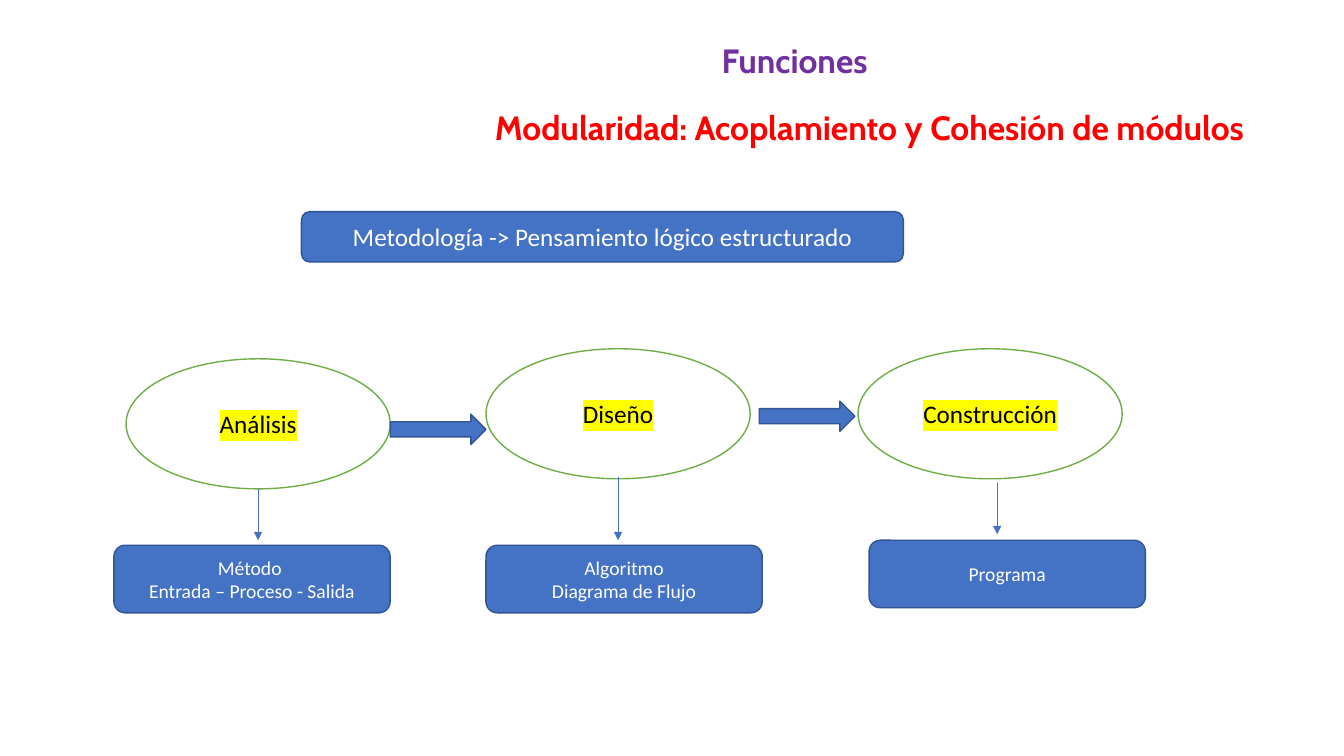
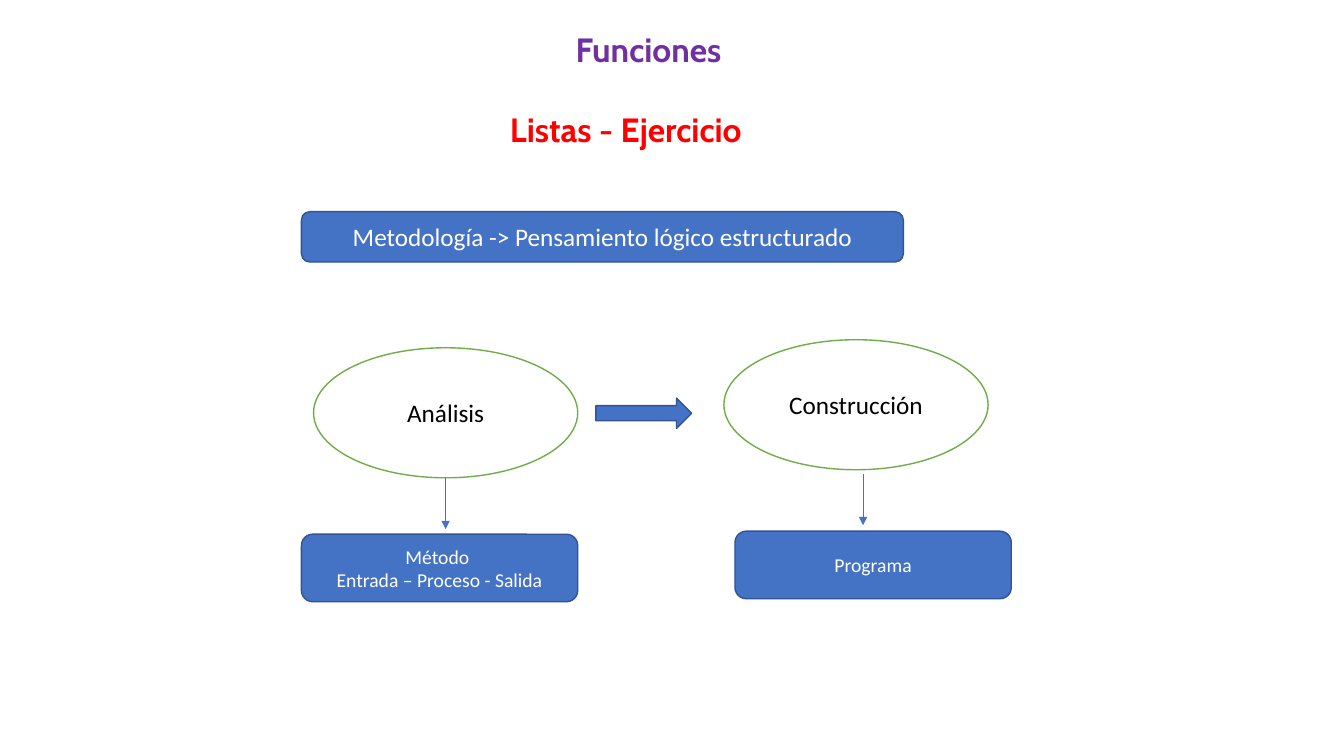
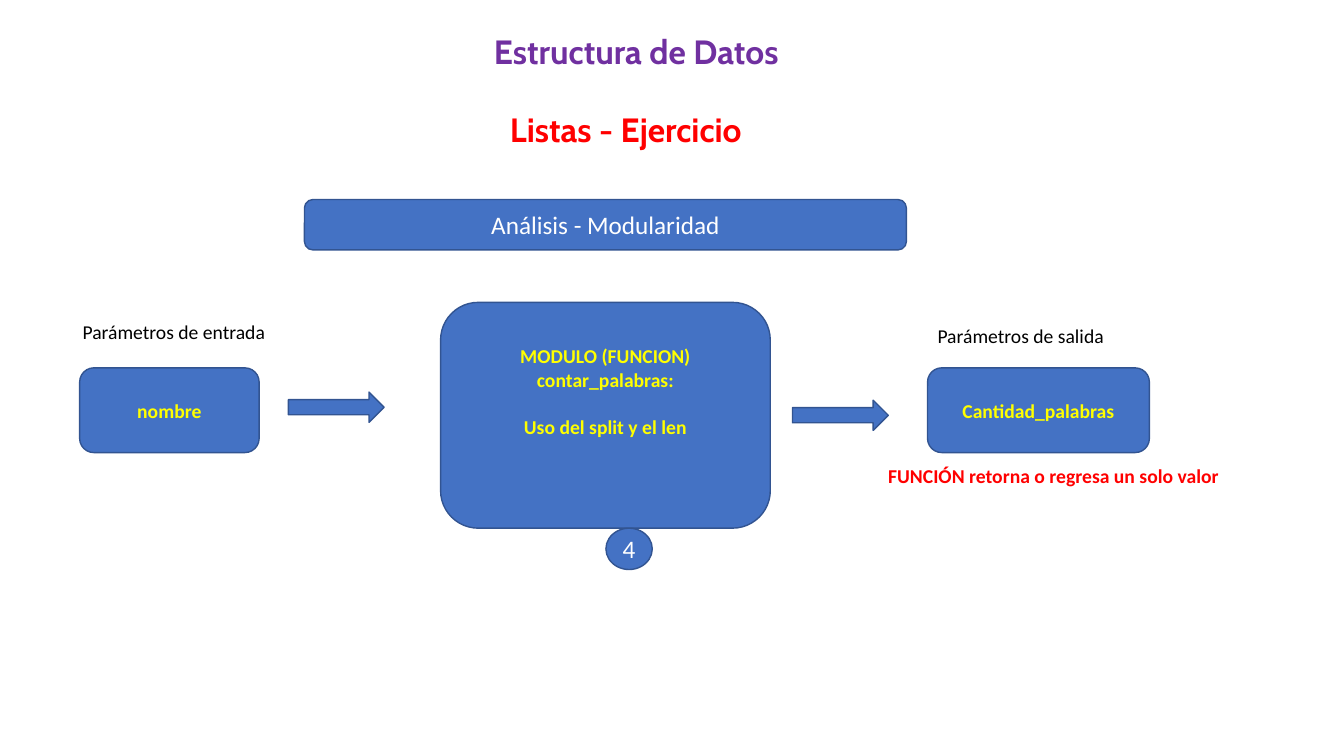
from lxml import etree
from pptx import Presentation
from pptx.dml.color import RGBColor
from pptx.enum.shapes import MSO_CONNECTOR, MSO_SHAPE
from pptx.enum.text import MSO_ANCHOR, PP_ALIGN
from pptx.oxml.ns import qn
from pptx.util import Pt

ELLIPSE = MSO_SHAPE.OVAL
ROUNDED = MSO_SHAPE.ROUNDED_RECTANGLE
RIGHT_ARROW = MSO_SHAPE.RIGHT_ARROW
STRAIGHT = MSO_CONNECTOR.STRAIGHT
CENTER, LEFT = PP_ALIGN.CENTER, PP_ALIGN.LEFT
MIDDLE = MSO_ANCHOR.MIDDLE

EMU_PER_PX = 9144  # 100 px to the inch
BLUE, NAVY, GREEN = "4472C4", "325491", "70AD47"
WHITE, BLACK, YELLOW = "FFFFFF", "000000", "FFFF00"
PURPLE, RED = "7030A0", "FF0000"
BODY_FONT, TITLE_FONT = "Calibri", "Cabin"

STAGE_W, STAGE_H = 262, 129
RESULT_W, RESULT_H = 274, 67
# stage: result text, result offset (x, y), connector offset (x, top, bottom)
STAGES = {
    "Análisis": ("Método \nEntrada – Proceso - Salida", (-12, 185), (131, 129, 180)),
    "Diseño": ("Algoritmo\nDiagrama de Flujo", (0, 195), (131, 127, 190)),
    "Construcción": ("Programa", (11, 190), (138, 133, 184)),
}


def px(n):
    return n * EMU_PER_PX


def rgb(color):
    return RGBColor.from_string(color)


def set_text(tf, text, size, color, bold=False, font=BODY_FONT, align=CENTER):
    tf.word_wrap = True
    tf.text = text
    for p in tf.paragraphs:
        p.alignment = align
        for r in p.runs:
            r.font.size = Pt(size)
            r.font.name = font
            r.font.bold = bold
            r.font.color.rgb = rgb(color)


def highlight(tf, color):
    """Mark every run with a background colour; it must follow the run's fill."""
    for p in tf.paragraphs:
        for r in p.runs:
            mark = etree.Element(qn("a:highlight"))
            etree.SubElement(mark, qn("a:srgbClr"), val=color)
            r.font.fill  # the fill is already set by set_text
            r.font._element.find(qn("a:solidFill")).addnext(mark)


def add_figure(s, kind, x, y, w, h, fill=BLUE, line=NAVY):
    sp = s.shapes.add_shape(kind, px(x), px(y), px(w), px(h))
    sp.shadow.inherit = False
    sp.fill.solid()
    sp.fill.fore_color.rgb = rgb(fill)
    sp.line.color.rgb = rgb(line)
    sp.line.width = Pt(1)
    return sp


def add_box(s, x, y, w, h, text, size=14, color=WHITE, bold=False, kind=ROUNDED):
    sp = add_figure(s, kind, x, y, w, h)
    sp.text_frame.vertical_anchor = MIDDLE
    set_text(sp.text_frame, text, size, color, bold)
    return sp


def add_label(s, x, y, w, h, text, size=14, color=BLACK, bold=False, font=BODY_FONT):
    sp = s.shapes.add_textbox(px(x), px(y), px(w), px(h))
    set_text(sp.text_frame, text, size, color, bold, font, LEFT)


def add_block_arrow(s, x, y):
    add_figure(s, RIGHT_ARROW, x, y, 95, 30)


def add_down_arrow(s, x, top, bottom):
    cxn = s.shapes.add_connector(STRAIGHT, px(x), px(top), px(x), px(bottom))
    cxn.line.color.rgb = rgb(BLUE)
    cxn.line.width = Pt(0.5)
    etree.SubElement(cxn.line._get_or_add_ln(), qn("a:tailEnd"), type="triangle")
    etree.SubElement(cxn._element.spPr, qn("a:effectLst"))


def add_titles(s, title, title_at, subtitle, subtitle_at):
    for text, (x, y), w, color in ((title, title_at, 740, PURPLE),
                                   (subtitle, subtitle_at, 870, RED)):
        add_label(s, x, y, w, 50, text, 24, color, True, TITLE_FONT)


def add_banner(s, x, y, text):
    add_box(s, x, y, 597, 50, text, 18)


def add_stage(s, x, y, name, marked):
    """Ellipse at x, y with the result it leads to below it."""
    result, (dx, dy), (cx, top, bottom) = STAGES[name]
    sp = add_figure(s, ELLIPSE, x, y, STAGE_W, STAGE_H, WHITE, GREEN)
    sp.text_frame.vertical_anchor = MIDDLE
    set_text(sp.text_frame, name, 18, BLACK)
    if marked:
        highlight(sp.text_frame, YELLOW)
    add_down_arrow(s, x + cx, y + top, y + bottom)
    add_box(s, x + dx, y + dy, RESULT_W, RESULT_H, result)


def add_method_slide(s, stages, arrows, marked=False):
    add_banner(s, 299, 210, "Metodología -> Pensamiento lógico estructurado")
    for name, x, y in stages:
        add_stage(s, x, y, name, marked)
    for x, y in arrows:
        add_block_arrow(s, x, y)


def add_module_slide(s):
    add_banner(s, 302, 198, "Análisis - Modularidad")
    for x, y in ((286, 389), (786, 397)):
        add_block_arrow(s, x, y)

    add_label(s, 72, 312, 261, 34, "Parámetros de entrada")
    add_box(s, 79, 365, 178, 84, "nombre", color=YELLOW, bold=True)

    module = add_box(s, 437, 300, 327, 224,
                     "MODULO (FUNCION)\ncontar_palabras:\nUso del split y el len",
                     color=YELLOW, bold=True)
    tf = module.text_frame
    tf.margin_bottom = px(52)
    tf.paragraphs[2].space_before = Pt(17)
    add_box(s, 601, 524, 46, 41, "4", 18, kind=ELLIPSE)

    add_label(s, 920, 316, 261, 34, "Parámetros de salida")
    add_box(s, 920, 365, 220, 84, "Cantidad_palabras", color=YELLOW, bold=True)
    add_label(s, 871, 455, 379, 34, "FUNCIÓN retorna o regresa un solo valor",
              color=RED, bold=True)


def main():
    prs = Presentation()
    prs.slide_width, prs.slide_height = px(1333), px(750)
    blank = prs.slide_layouts[6]

    s = prs.slides.add_slide(blank)
    add_titles(s, "Funciones", (706, 35),
               "Modularidad: Acoplamiento y Cohesión de módulos", (481, 101))
    add_method_slide(s, (("Análisis", 125, 356), ("Diseño", 482, 346),
                         ("Construcción", 851, 346)),
                     ((387, 411), (753, 398)), marked=True)

    s = prs.slides.add_slide(blank)
    add_titles(s, "Funciones", (561, 24), "Listas - Ejercicio", (496, 103))
    add_method_slide(s, (("Análisis", 311, 345), ("Construcción", 718, 337)),
                     ((591, 395),))

    s = prs.slides.add_slide(blank)
    add_titles(s, "Estructura de Datos", (480, 26), "Listas - Ejercicio", (496, 103))
    add_module_slide(s)

    prs.save("out.pptx")


if __name__ == "__main__":
    main()
